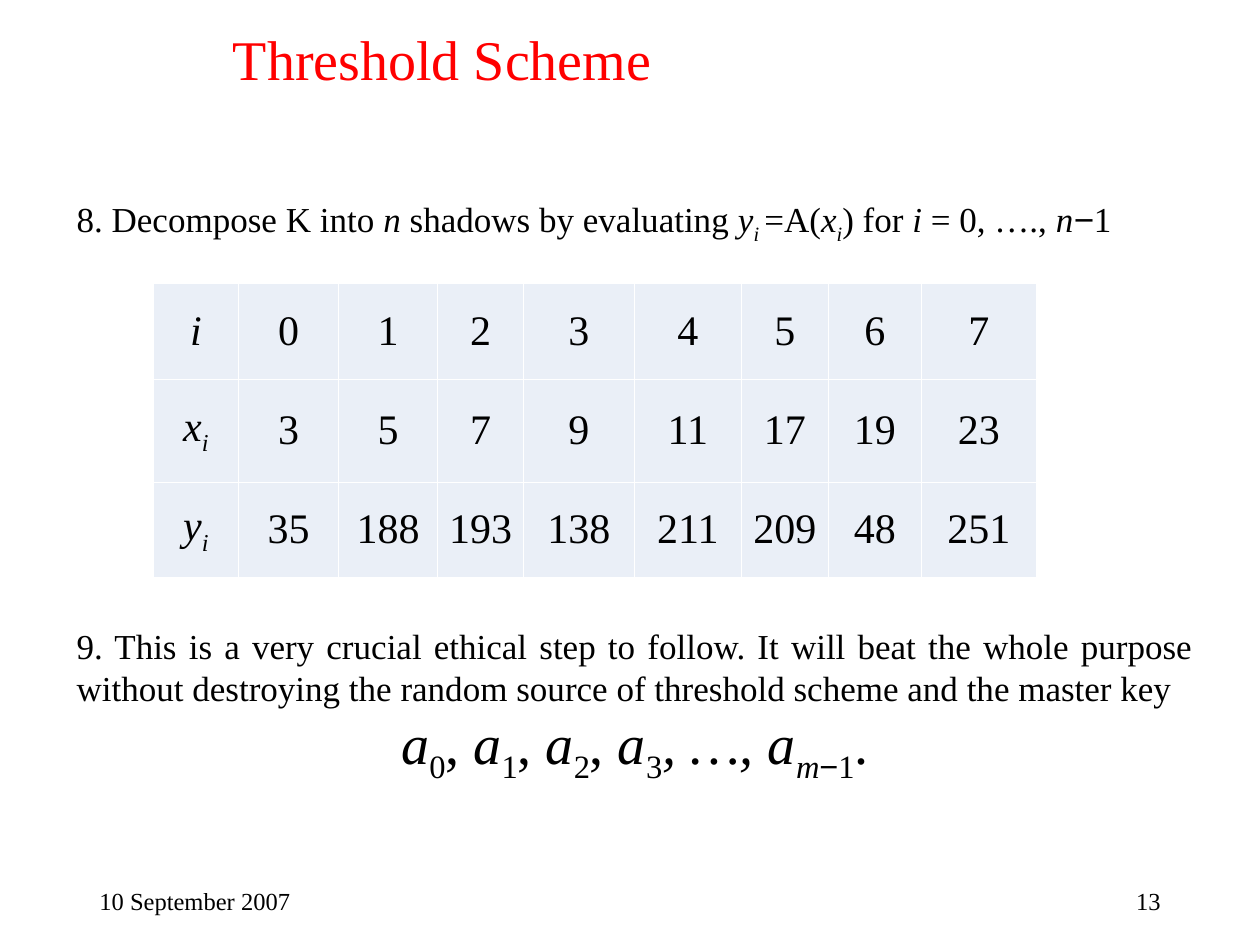
from lxml import etree
from pptx import Presentation
from pptx import util as u
from pptx.dml.color import RGBColor
from pptx.enum import text
from pptx.oxml import ns

WIDTH, HEIGHT = u.Inches(10), u.Inches(7.5)
BLACK = RGBColor(0, 0, 0)
RED = RGBColor(255, 0, 0)
WHITE = RGBColor(255, 255, 255)
PALE_BLUE = RGBColor(0xEA, 0xEF, 0xF7)
SERIF, SANS = "Times New Roman", "Arial"
ALIGN = text.PP_ALIGN
MIDDLE = text.MSO_ANCHOR.MIDDLE

STYLES = {
    "plain": {},
    "italic": {"italic": True},
    "sub": {"subscript": True},
    "italic sub": {"italic": True, "subscript": True},
    "minus": {"italic": True, "name": SANS},
    "minus sub": {"subscript": True, "name": SANS},
}
COLUMNS = [6.8, 7.9, 7.9, 6.8, 8.8, 8.5, 6.9, 7.4, 9.1]
ROWS = [10.1, 10.9, 10.1]
SHADOWS = [
    ([("i", "italic")], [0, 1, 2, 3, 4, 5, 6, 7]),
    ([("x", "italic"), ("i", "italic sub")], [3, 5, 7, 9, 11, 17, 19, 23]),
    ([("y", "italic"), ("i", "italic sub")],
     [35, 188, 193, 138, 211, 209, 48, 251]),
]
DECOMPOSE = [
    ("8. Decompose K into ", "plain"), ("n", "italic"),
    (" shadows by evaluating ", "plain"), ("y", "italic"),
    ("i ", "italic sub"), ("=A(", "plain"), ("x", "italic"),
    ("i", "italic sub"), (") for ", "plain"), ("i", "italic"),
    (" = 0, …., ", "plain"), ("n", "italic"), ("−", "minus"), ("1", "plain"),
]
DESTROY = (
    "9. This is a very crucial ethical step to follow. It will beat the whole "
    "purpose without destroying the random source of threshold scheme and "
    "the master key"
)


def across(percent):
    return round(WIDTH * percent / 100)


def down(percent):
    return round(HEIGHT * percent / 100)


def set_values(target, values):
    for name, value in values.items():
        setattr(target, name, value)


def write(para, spans, size, color=BLACK, **layout):
    set_values(para, layout)
    for words, style in spans:
        span = para.add_run()
        span.text = words
        values = {"name": SERIF, "size": u.Pt(size), "italic": False}
        values.update(STYLES[style])
        subscript = values.pop("subscript", False)
        set_values(span.font, values)
        span.font.color.rgb = color
        if subscript:
            span._r.get_or_add_rPr().set("baseline", "-25000")


def add_box(page, left, top, width, height, inset=True):
    box = page.shapes.add_textbox(
        across(left), down(top), across(width), down(height))
    set_values(box.text_frame, {"word_wrap": True, "vertical_anchor": MIDDLE})
    return box.text_frame


def add_line(page, place, words, size, color=BLACK, **layout):
    frame = add_box(page, *place)
    write(frame.paragraphs[0], [(words, "plain")], size, color, **layout)


def add_borders(cell):
    properties = cell._tc.get_or_add_tcPr()
    for position, side in enumerate(("lnL", "lnR", "lnT", "lnB")):
        line = etree.Element(ns.qn(f"a:{side}"), w=str(u.Pt(0.45)))
        fill = etree.SubElement(line, ns.qn("a:solidFill"))
        etree.SubElement(fill, ns.qn("a:srgbClr"), val=str(WHITE))
        properties.insert(position, line)


def fill_cell(cell, spans):
    set_values(cell, {
        "vertical_anchor": MIDDLE,
        "margin_left": u.Inches(0.01),
        "margin_right": u.Inches(0.01),
    })
    cell.fill.solid()
    cell.fill.fore_color.rgb = PALE_BLUE
    add_borders(cell)
    write(cell.text_frame.paragraphs[0], spans, 24, alignment=ALIGN.CENTER)


def add_shadow_table(page):
    table = page.shapes.add_table(
        len(ROWS), len(COLUMNS), across(12.15), down(30),
        across(sum(COLUMNS)), down(sum(ROWS))).table
    set_values(table, {"first_row": False, "horz_banding": False})
    for column, share in zip(table.columns, COLUMNS):
        column.width = across(share)
    for row, share, (label, numbers) in zip(table.rows, ROWS, SHADOWS):
        row.height = down(share)
        entries = [label] + [[(str(number), "plain")] for number in numbers]
        for cell, spans in zip(row.cells, entries):
            fill_cell(cell, spans)


def coefficients():
    spans = []
    for index in range(4):
        spans += [("a", "italic"), (str(index), "sub"), (", ", "plain")]
    spans[-1] = (", …, ", "italic")
    return spans + [("a", "italic"), ("m", "italic sub"),
                    ("−", "minus sub"), ("1", "sub"), (".", "plain")]


def add_steps(page):
    frame = add_box(page, 5.1, 20.27, 90.6, 63.47)
    write(frame.paragraphs[0], DECOMPOSE, 20)
    write(frame.add_paragraph(), [(DESTROY, "plain")], 20,
          alignment=ALIGN.JUSTIFY, space_before=u.Pt(217))
    write(frame.add_paragraph(), coefficients(), 32, alignment=ALIGN.CENTER)


def main():
    deck = Presentation()
    set_values(deck, {"slide_width": WIDTH, "slide_height": HEIGHT})
    page = deck.slides.add_slide(deck.slide_layouts[6])
    add_line(page, (17.5, 1.07, 65.8, 11.07), "Threshold Scheme", 32, RED,
             line_spacing=0.9)
    add_line(page, (6.9, 92.67, 22.5, 5.33), "10 September 2007", 14)
    add_line(page, (70.6, 92.67, 22.5, 5.33), "13", 14, alignment=ALIGN.RIGHT)
    add_steps(page)
    add_shadow_table(page)
    deck.save("out.pptx")


if __name__ == "__main__":
    main()
